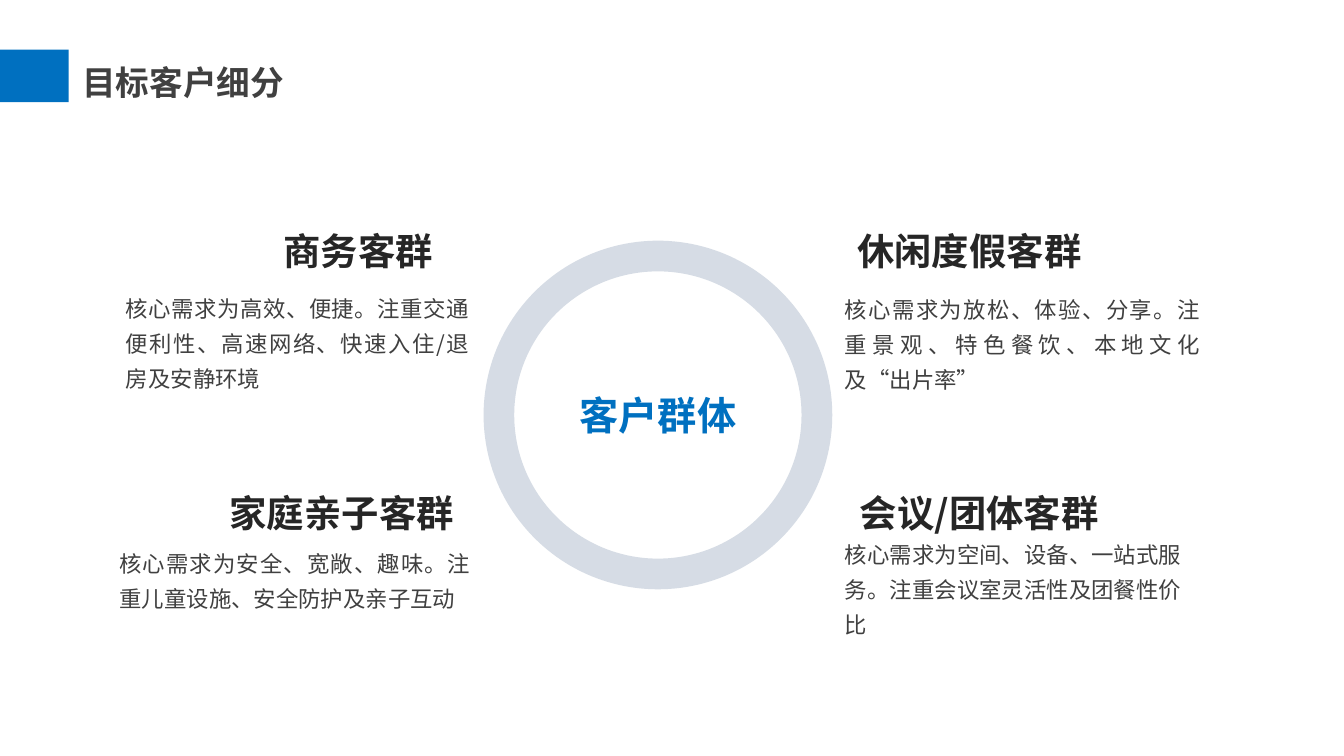
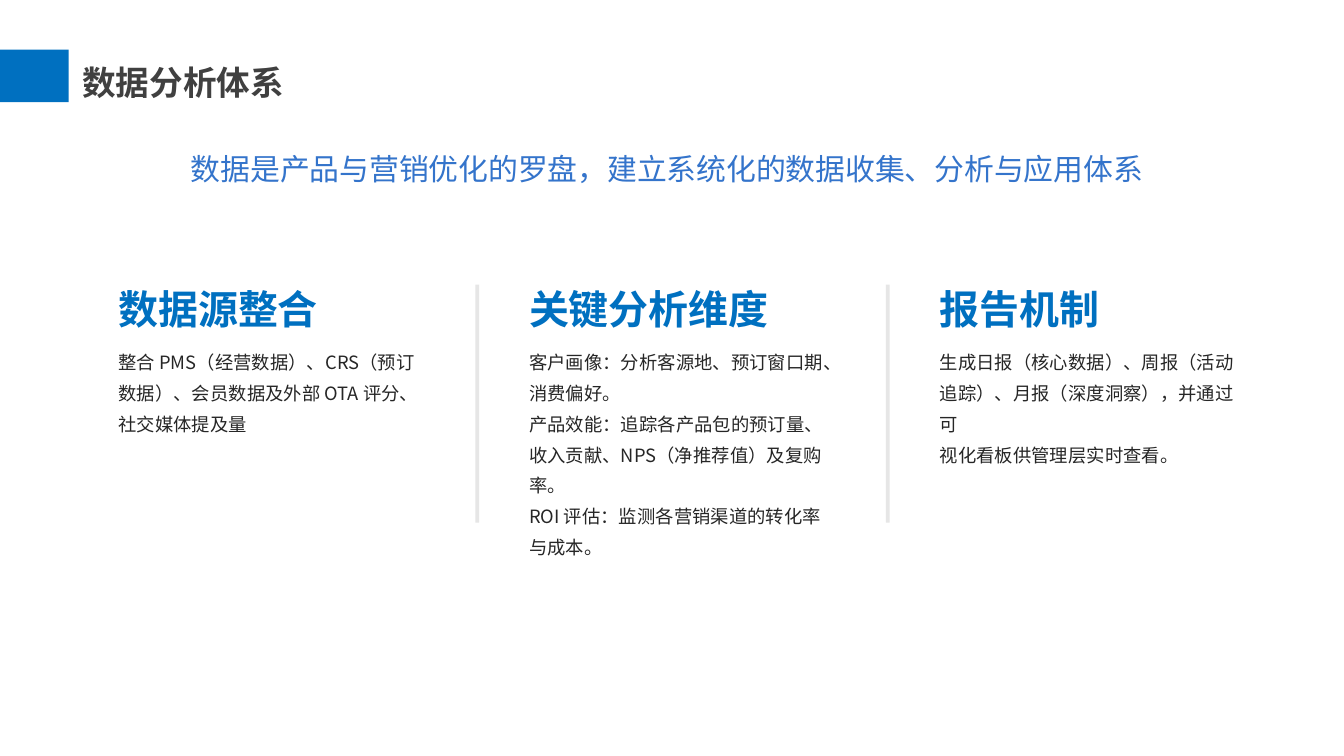
from dataclasses import dataclass

from lxml.etree import SubElement
from pptx import Presentation
from pptx.dml.color import RGBColor
from pptx.enum.shapes import MSO_CONNECTOR, MSO_SHAPE
from pptx.enum.text import MSO_ANCHOR, PP_ALIGN
from pptx.oxml.ns import qn
from pptx.util import Cm, Pt


@dataclass(frozen=True)
class Theme:
    accent: str = "0070C0"
    ring: str = "D6DCE5"
    lead: str = "3474CB"
    title: str = "404040"
    body: str = "404040"
    dark: str = "262626"
    divider: str = "595959"
    divider_opacity: int = 15000
    latin: str = "Arial"
    cjk: str = "Noto Sans CJK SC"
    title_size: float = 18
    hub_size: float = 21
    segment_size: float = 20
    segment_body_size: float = 12
    lead_size: float = 16
    column_size: float = 21.4
    column_body_size: float = 9.8


class Deck:
    def __init__(self, theme):
        self.theme = theme
        self.presentation = Presentation()
        self.presentation.slide_width = Cm(25.4)
        self.presentation.slide_height = Cm(14.29)
        self.slide = None

    def new_slide(self, title):
        layout = self.presentation.slide_layouts.get_by_name("Title Only")
        self.slide = self.presentation.slides.add_slide(layout)
        self.shape(MSO_SHAPE.RECTANGLE, (0, 0.94, 1.3, 0.99), self.theme.accent)
        heading = self.slide.shapes.title
        heading.left, heading.top, heading.width, heading.height = map(Cm, (1.3, 0.94, 4.32, 1.12))
        heading.text_frame.word_wrap = False
        heading.text_frame.vertical_anchor = MSO_ANCHOR.TOP
        self.fill_text(heading.text_frame, [title], self.theme.title_size, self.theme.title,
                       self.theme.latin, bold=True, spacing=1.14)

    def fill_text(self, frame, lines, size, color, face, bold=False, align=PP_ALIGN.LEFT, spacing=1.0):
        for index, line in enumerate(lines):
            paragraph = frame.add_paragraph() if index else frame.paragraphs[0]
            paragraph.text = line
            paragraph.alignment = align
            paragraph.line_spacing = spacing
            font = paragraph.font
            font.size, font.bold, font.name = Pt(size), bold, face
            font.color.rgb = RGBColor.from_string(color)
            defaults = paragraph._p.get_or_add_pPr().find(qn("a:defRPr"))
            SubElement(defaults, qn("a:ea")).set("typeface", self.theme.cjk)

    def text(self, place, lines, size, color, face=None, inset=None, anchor=MSO_ANCHOR.TOP, **style):
        frame = self.slide.shapes.add_textbox(*map(Cm, place)).text_frame
        frame.word_wrap = True
        frame.vertical_anchor = anchor
        if inset is not None:
            frame.margin_left = frame.margin_right = Cm(inset[0])
            frame.margin_top = frame.margin_bottom = Cm(inset[1])
        self.fill_text(frame, lines, size, color, face or self.theme.cjk, **style)

    def shape(self, preset, place, fill):
        shape = self.slide.shapes.add_shape(preset, *map(Cm, place))
        shape.shadow.inherit = False
        shape.fill.solid()
        shape.fill.fore_color.rgb = RGBColor.from_string(fill)
        shape.line.fill.background()
        return shape

    def divider(self, x, top, bottom):
        rule = self.slide.shapes.add_connector(
            MSO_CONNECTOR.STRAIGHT, Cm(x), Cm(top), Cm(x), Cm(bottom))
        rule.line.width = Pt(2)
        rule.line.color.rgb = RGBColor.from_string(self.theme.divider)
        properties = rule._element.spPr
        color = properties.find(".//" + qn("a:srgbClr"))
        SubElement(color, qn("a:alpha")).set("val", str(self.theme.divider_opacity))
        SubElement(properties, qn("a:effectLst"))

    def segment(self, name, name_place, need, need_place):
        theme = self.theme
        self.text((*name_place, 1.12), [name], theme.segment_size, theme.dark,
                  bold=True, align=PP_ALIGN.JUSTIFY)
        self.text((*need_place, 2.26), [need], theme.segment_body_size, theme.body,
                  align=PP_ALIGN.JUSTIFY, spacing=1.3)

    def column(self, left, name, details):
        theme = self.theme
        self.text((left, 5.49, 5.77, 0.79), [name], theme.column_size, theme.accent, theme.latin,
                  inset=(0, 0), anchor=MSO_ANCHOR.BOTTOM, bold=True)
        self.text((left, 6.48, 5.77, 3.3), details, theme.column_body_size, theme.dark,
                  inset=(0, 0), spacing=1.4)


def customer_slide(deck):
    theme = deck.theme
    deck.new_slide("目标客户细分")
    hub = deck.shape(MSO_SHAPE.DONUT, (9.14, 4.55, 6.59, 6.59), theme.ring)
    hub.adjustments[0] = 0.088
    hub.text_frame.vertical_anchor = MSO_ANCHOR.MIDDLE
    deck.fill_text(hub.text_frame, ["客户群体"], theme.hub_size, theme.accent, theme.cjk,
                   bold=True, align=PP_ALIGN.CENTER)

    upper, lower = 4.19, 9.14
    segments = [
        ("休闲度假客群", (15.95, upper, 4.9),
         "核心需求为放松、体验、分享。注重景观、特色餐饮、本地文化及“出片率”", (15.72, 5.33, 7.21)),
        ("会议/团体客群", (16, lower, 5.44),
         "核心需求为空间、设备、一站式服务。注重会议室灵活性及团餐性价比", (15.72, 9.96, 6.86)),
        ("商务客群", (5.11, upper, 3.73),
         "核心需求为高效、便捷。注重交通便利性、高速网络、快速入住/退房及安静环境", (2.13, 5.31, 6.99)),
        ("家庭亲子客群", (4.09, lower, 4.78),
         "核心需求为安全、宽敞、趣味。注重儿童设施、安全防护及亲子互动", (2.01, 10.13, 7.14)),
    ]
    for segment in segments:
        deck.segment(*segment)


def analysis_slide(deck):
    theme = deck.theme
    deck.new_slide("数据分析体系")
    deck.text((2.06, 2.54, 21.11, 1.07), ["数据是产品与营销优化的罗盘，建立系统化的数据收集、分析与应用体系"],
              theme.lead_size, theme.lead, inset=(0.18, 0.1), align=PP_ALIGN.CENTER, spacing=1.3)

    columns = [
        ("数据源整合", ["整合 PMS（经营数据）、CRS（预订数据）、会员数据及外部 OTA 评分、",
                   "社交媒体提及量"]),
        ("关键分析维度", ["客户画像：分析客源地、预订窗口期、消费偏好。",
                    "产品效能：追踪各产品包的预订量、收入贡献、NPS（净推荐值）及复购率。",
                    "ROI 评估：监测各营销渠道的转化率与成本。"]),
        ("报告机制", ["生成日报（核心数据）、周报（活动追踪）、月报（深度洞察），并通过可",
                  "视化看板供管理层实时查看。"]),
    ]
    first_left, pitch, divider_gap = 2.24, 7.76, 0.98
    for index, (name, details) in enumerate(columns):
        left = first_left + index * pitch
        deck.column(left, name, details)
        if index:
            deck.divider(left - divider_gap, 5.38, 9.88)


def main():
    deck = Deck(Theme())
    customer_slide(deck)
    analysis_slide(deck)
    deck.presentation.save("out.pptx")


if __name__ == "__main__":
    main()
